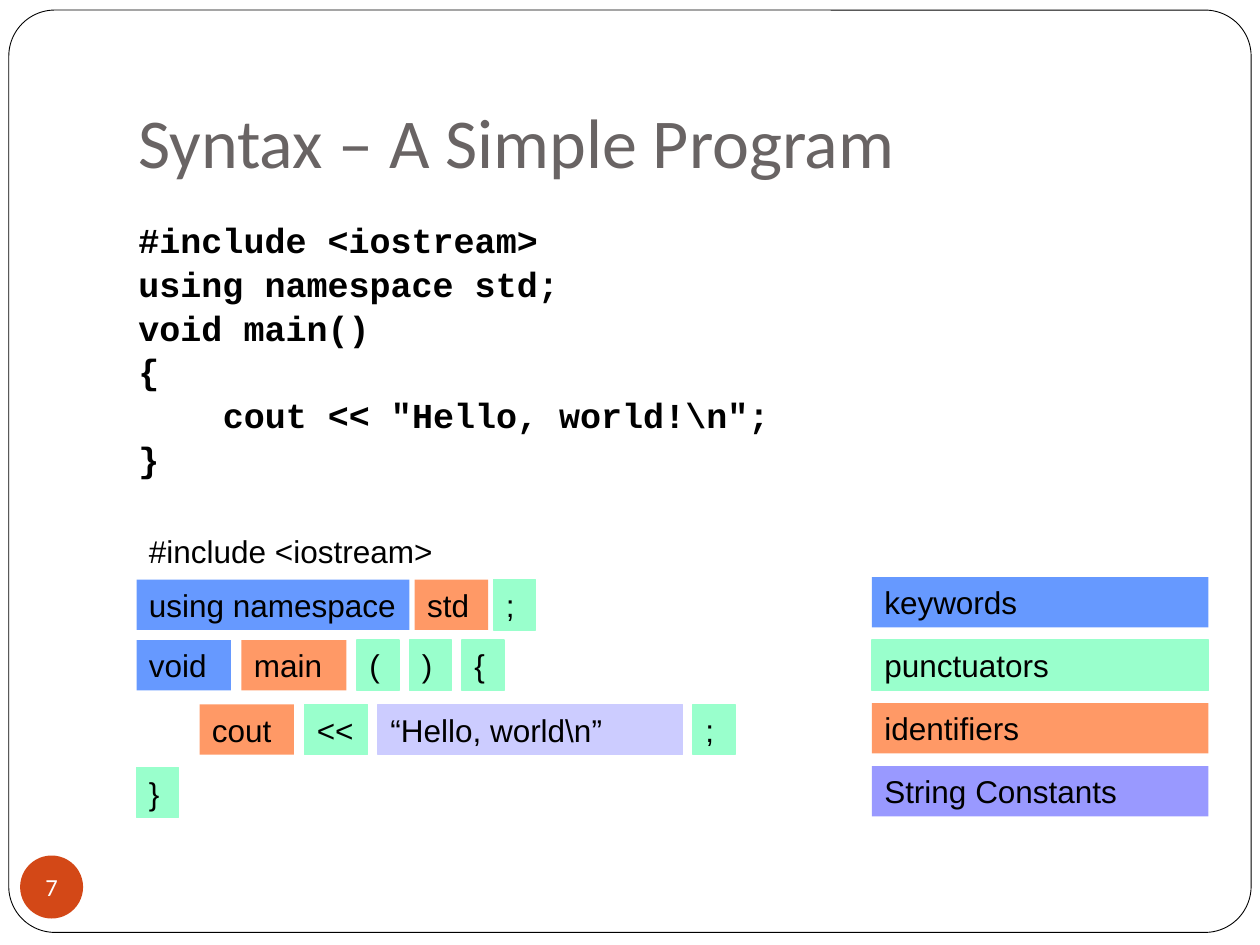
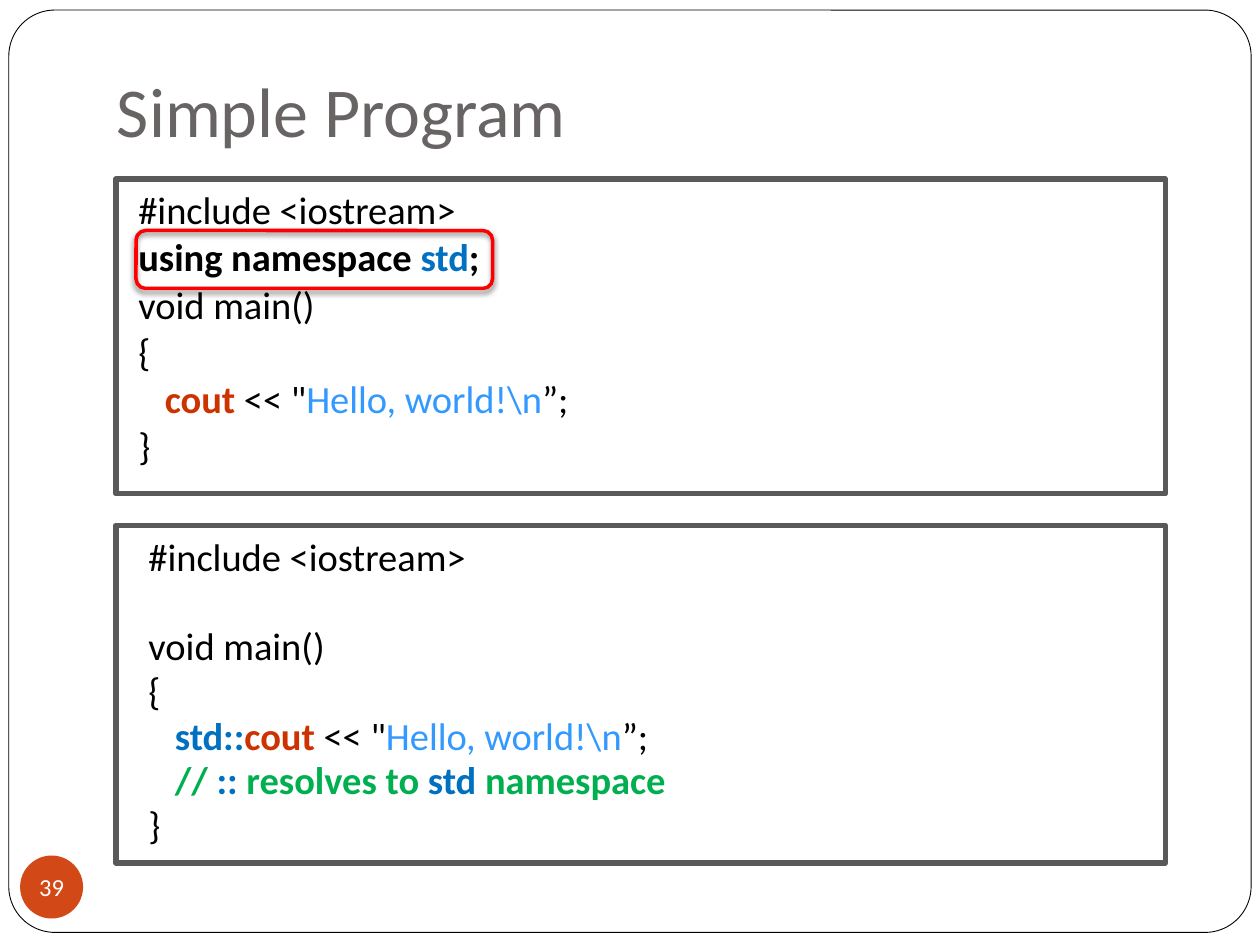
from lxml import etree
from pptx import Presentation
from pptx.dml.color import RGBColor
from pptx.enum.shapes import MSO_SHAPE
from pptx.enum.text import MSO_ANCHOR, PP_ALIGN
from pptx.oxml.ns import qn
from pptx.util import Inches, Pt

RECTANGLE, ROUNDED, OVAL = MSO_SHAPE.RECTANGLE, MSO_SHAPE.ROUNDED_RECTANGLE, MSO_SHAPE.OVAL
TOP, MIDDLE, BOTTOM = MSO_ANCHOR.TOP, MSO_ANCHOR.MIDDLE, MSO_ANCHOR.BOTTOM
LEFT, CENTER = PP_ALIGN.LEFT, PP_ALIGN.CENTER

BLACK, WHITE, RED = "000000", "FFFFFF", "FF0000"
TITLE_GREY, FRAME_GREY, BADGE_ORANGE = "696464", "595959", "D34817"
NAMESPACE, STREAM, STRING, COMMENT = "0070C0", "CC3300", "3399FF", "00B050"
KEYWORD, PUNCTUATOR, IDENTIFIER = "6699FF", "99FFCC", "FF9966"
STRING_TOKEN, STRING_LEGEND = "CCCCFF", "9999FF"

# Code lines: (indent in inches, extra space before in points, runs).
# A run is (text, colour, bold).
def plain(text, indent=0, extra=0, bold=False):
    return indent, extra, [(text, BLACK, bold)]


HELLO = [("cout ", STREAM, True), ('<< "', BLACK, False),
         (r"Hello, world!\n", STRING, False), ("”;", BLACK, False)]

SYNTAX_CODE = [
    plain("#include <iostream>", bold=True),
    plain("using namespace std;", bold=True),
    plain("void main()", bold=True),
    plain("{", bold=True),
    plain(r'cout << "Hello, world!\n";', indent=0.67, bold=True),
    plain("}", bold=True),
]
USING_CODE = [
    plain("#include <iostream>"),
    (0, 0, [("using namespace ", BLACK, True), ("std", NAMESPACE, True), (";", BLACK, True)]),
    plain("void main()"),
    plain("{"),
    (0.21, 0, HELLO),
    plain("}"),
]
QUALIFIED_CODE = [
    plain("#include <iostream>"),
    plain("void main()", extra=25.7),
    plain("{"),
    (0.21, 0, [("std::", NAMESPACE, True)] + HELLO),
    (0.21, 0, [("// ", COMMENT, True), ("::", NAMESPACE, True), (" resolves to ", COMMENT, True),
               ("std ", NAMESPACE, True), ("namespace", COMMENT, True)]),
    plain("}"),
]

# Token rows: (top in inches, left in units, gap in units, tokens).
# A token is (text, width in units, fill).
UNIT = 1 / 12
TOKEN_ROWS = [
    (4.17, 13, 1, [("#include <iostream>", 32, None)]),
    (4.6, 13, 0.5, [("using namespace", 26, KEYWORD), ("std", 7, IDENTIFIER), (";", 4, PUNCTUATOR)]),
    (5.08, 13, 1, [("void", 9, KEYWORD), ("main", 10, IDENTIFIER), ("(", 4, PUNCTUATOR),
                   (")", 4, PUNCTUATOR), ("{", 4, PUNCTUATOR)]),
    (5.59, 19, 1, [("cout", 9, IDENTIFIER), ("<<", 6, PUNCTUATOR),
                   (r"“Hello, world\n”", 29, STRING_TOKEN), (";", 4, PUNCTUATOR)]),
    (6.09, 13, 1, [("}", 4, PUNCTUATOR)]),
]
OUTLINED = (PUNCTUATOR, STRING_TOKEN)
LEGEND = [("keywords", KEYWORD), ("punctuators", PUNCTUATOR),
          ("identifiers", IDENTIFIER), ("String Constants", STRING_LEGEND)]
LEGEND_LEFT, LEGEND_TOP, LEGEND_WIDTH, LEGEND_STEP, TOKEN_HEIGHT = 6.92, 4.58, 2.67, 0.5, 0.4


def color(value):
    return RGBColor.from_string(value)


def add_box(slide, kind, box, fill=None, line=None, line_width=0.75):
    shape = slide.shapes.add_shape(kind, *map(Inches, box))
    shape.shadow.inherit = False
    if fill:
        shape.fill.solid()
        shape.fill.fore_color.rgb = color(fill)
    else:
        shape.fill.background()
    if line:
        shape.line.color.rgb = color(line)
        shape.line.width = Pt(line_width)
    else:
        shape.line.fill.background()
    return shape


def style_paragraph(paragraph, font, size, text_color=BLACK, align=LEFT):
    paragraph.alignment = align
    paragraph.font.name = font
    paragraph.font.size = Pt(size)
    paragraph.font.color.rgb = color(text_color)


def set_text(shape, text, font, size, text_color=BLACK, align=LEFT, anchor=TOP):
    frame = shape.text_frame
    frame.word_wrap = True
    frame.vertical_anchor = anchor
    frame.text = text
    style_paragraph(frame.paragraphs[0], font, size, text_color, align)
    return frame


def add_code(slide, box, lines, font, size, space_before):
    frame = slide.shapes.add_textbox(*map(Inches, box)).text_frame
    frame.word_wrap = True
    for number, (indent, extra, runs) in enumerate(lines):
        paragraph = frame.add_paragraph() if number else frame.paragraphs[0]
        style_paragraph(paragraph, font, size)
        paragraph.line_spacing = 0.8
        paragraph.space_before = Pt(space_before + extra)
        paragraph._p.get_or_add_pPr().set("marL", str(Inches(indent)))
        for text, run_color, bold in runs:
            run = paragraph.add_run()
            run.text = text
            run.font.bold = bold
            run.font.color.rgb = color(run_color)


def add_drop_shadow(shape):
    effects = shape._element.spPr.find(qn("a:effectLst"))
    shadow = etree.SubElement(effects, qn("a:outerShdw"), blurRad=str(Pt(3)), dist=str(Pt(2)),
                              dir="5400000", rotWithShape="0")
    black = etree.SubElement(shadow, qn("a:srgbClr"), val=BLACK)
    etree.SubElement(black, qn("a:alpha"), val="50000")


def start_slide(presentation, title, title_box):
    slide = presentation.slides.add_slide(presentation.slide_layouts[6])
    page_frame = add_box(slide, ROUNDED, (0.07, 0.08, 9.86, 7.32), WHITE, BLACK, 0.5)
    page_frame.adjustments[0] = 0.05
    title_shape = slide.shapes.add_textbox(*map(Inches, title_box))
    frame = set_text(title_shape, title, "Calibri", 40, TITLE_GREY, anchor=BOTTOM)
    frame.margin_bottom = Inches(0.1)
    return slide


def add_page_number(slide, number):
    badge = add_box(slide, OVAL, (0.16, 6.79, 0.5, 0.5), BADGE_ORANGE)
    frame = set_text(badge, str(number), "Calibri", 14, WHITE, CENTER, MIDDLE)
    frame.word_wrap = False
    frame.margin_left = frame.margin_right = frame.margin_top = frame.margin_bottom = 0


def add_token(slide, text, left, top, width, fill):
    line = fill if fill in OUTLINED else None
    token = add_box(slide, RECTANGLE, (left, top, width, TOKEN_HEIGHT), fill, line)
    set_text(token, text, "Arial", 18)


def build_syntax_slide(presentation):
    slide = start_slide(presentation, "Syntax – A Simple Program", (1, 0.3, 8.5, 1.25))
    add_code(slide, (1, 1.75, 5.25, 2.25), SYNTAX_CODE, "Courier New", 20, 5.8)
    for top, left, gap, tokens in TOKEN_ROWS:
        for text, width, fill in tokens:
            add_token(slide, text, left * UNIT, top, width * UNIT, fill)
            left += width + gap
    for row, (text, fill) in enumerate(LEGEND):
        add_token(slide, text, LEGEND_LEFT, LEGEND_TOP + row * LEGEND_STEP, LEGEND_WIDTH, fill)
    add_page_number(slide, 7)


def build_namespace_slide(presentation):
    slide = start_slide(presentation, "Simple Program", (0.83, 0.42, 8.5, 0.88))
    add_code(slide, (1, 1.5, 9, 2.42), USING_CODE, "Calibri", 22, 5.8)
    add_code(slide, (1.08, 4.25, 8.17, 2.33), QUALIFIED_CODE, "Calibri", 22, 4.4)
    for top, height in ((1.42, 2.5), (4.17, 2.68)):
        add_box(slide, RECTANGLE, (0.92, top, 8.33, height), line=FRAME_GREY, line_width=3)
    highlight = add_box(slide, ROUNDED, (1.08, 1.83, 2.83, 0.46), line=RED, line_width=2)
    add_drop_shadow(highlight)
    add_page_number(slide, 39)


def main():
    presentation = Presentation()
    presentation.slide_width, presentation.slide_height = Inches(10), Inches(7.5)
    build_syntax_slide(presentation)
    build_namespace_slide(presentation)
    presentation.save("out.pptx")


if __name__ == "__main__":
    main()
